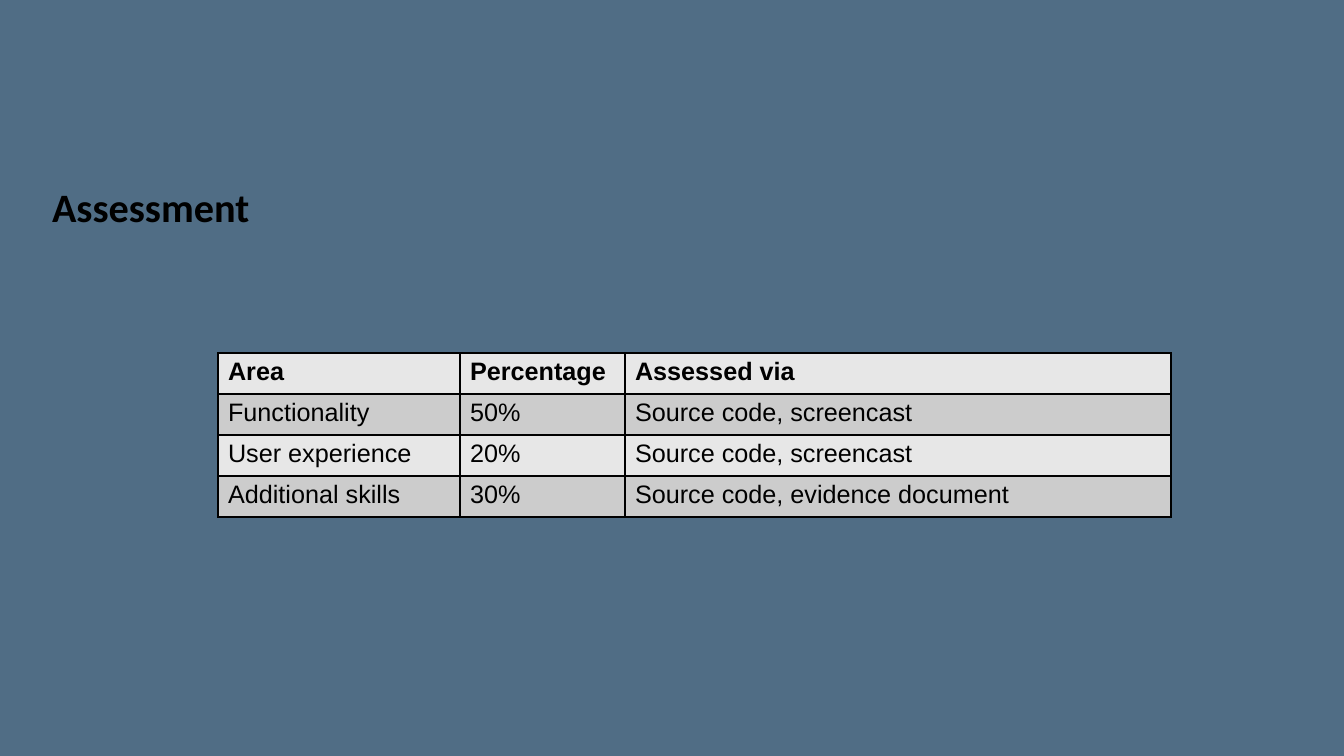
from lxml.etree import SubElement
from pptx import Presentation
from pptx.dml.color import RGBColor
from pptx.enum.text import MSO_ANCHOR as Anchor, PP_ALIGN as Align
from pptx.oxml.ns import qn
from pptx.util import Emu, Pt

PIXEL = 914400 / 100.8
SLATE = RGBColor(0x50, 0x6D, 0x85)
BLACK = RGBColor(0x00, 0x00, 0x00)
LIGHT = RGBColor(0xE7, 0xE7, 0xE7)
GREY = RGBColor(0xCC, 0xCC, 0xCC)

COLUMN_WIDTHS = [242, 165, 546]
ROW_HEIGHT = 41
ASSESSMENT_ROWS = [
    ("Area", "Percentage", "Assessed via"),
    ("Functionality", "50%", "Source code, screencast"),
    ("User experience", "20%", "Source code, screencast"),
    ("Additional skills", "30%", "Source code, evidence document"),
]


def px(count):
    return Emu(round(count * PIXEL))


def write_text(frame, text, font="Arial", size=18, bold=False, spacing=1.0):
    para = frame.paragraphs[0]
    para.alignment = Align.LEFT
    para.line_spacing = spacing
    span = para.add_run()
    span.text = text
    span.font.name = font
    span.font.size = Pt(size)
    span.font.bold = bold
    span.font.color.rgb = BLACK


def set_borders(cell, color=BLACK, width=1):
    properties = cell._tc.get_or_add_tcPr()
    for index, side in enumerate(("lnL", "lnR", "lnT", "lnB")):
        line = properties.makeelement(qn(f"a:{side}"), {"w": str(Pt(width))})
        fill = SubElement(line, qn("a:solidFill"))
        SubElement(fill, qn("a:srgbClr"), val=str(color))
        properties.insert(index, line)


def add_title(page, text, left, top, width, height):
    title = page.shapes.title
    title.left, title.top = px(left), px(top)
    title.width, title.height = px(width), px(height)
    title.text_frame.word_wrap = True
    title.text_frame.vertical_anchor = Anchor.MIDDLE
    write_text(title.text_frame, text, font="Calibri", size=28.8, bold=True, spacing=0.9)


def add_grid(page, rows, left, top):
    table = page.shapes.add_table(
        len(rows), len(COLUMN_WIDTHS), px(left), px(top),
        px(sum(COLUMN_WIDTHS)), px(ROW_HEIGHT * len(rows))).table
    for column, width in zip(table.columns, COLUMN_WIDTHS):
        column.width = px(width)
    for row_index, values in enumerate(rows):
        table.rows[row_index].height = px(ROW_HEIGHT)
        for column_index, value in enumerate(values):
            cell = table.cell(row_index, column_index)
            cell.fill.solid()
            cell.fill.fore_color.rgb = GREY if row_index % 2 else LIGHT
            set_borders(cell)
            write_text(cell.text_frame, value, bold=row_index == 0)


def main():
    deck = Presentation()
    deck.slide_width, deck.slide_height = px(1344), px(756)
    page = deck.slides.add_slide(deck.slide_layouts[5])

    # Background
    page.background.fill.solid()
    page.background.fill.fore_color.rgb = SLATE

    # Title and assessment table
    add_title(page, "Assessment", 42, 182, 1159, 55)
    add_grid(page, ASSESSMENT_ROWS, 218, 353)

    deck.save("out.pptx")


main()
